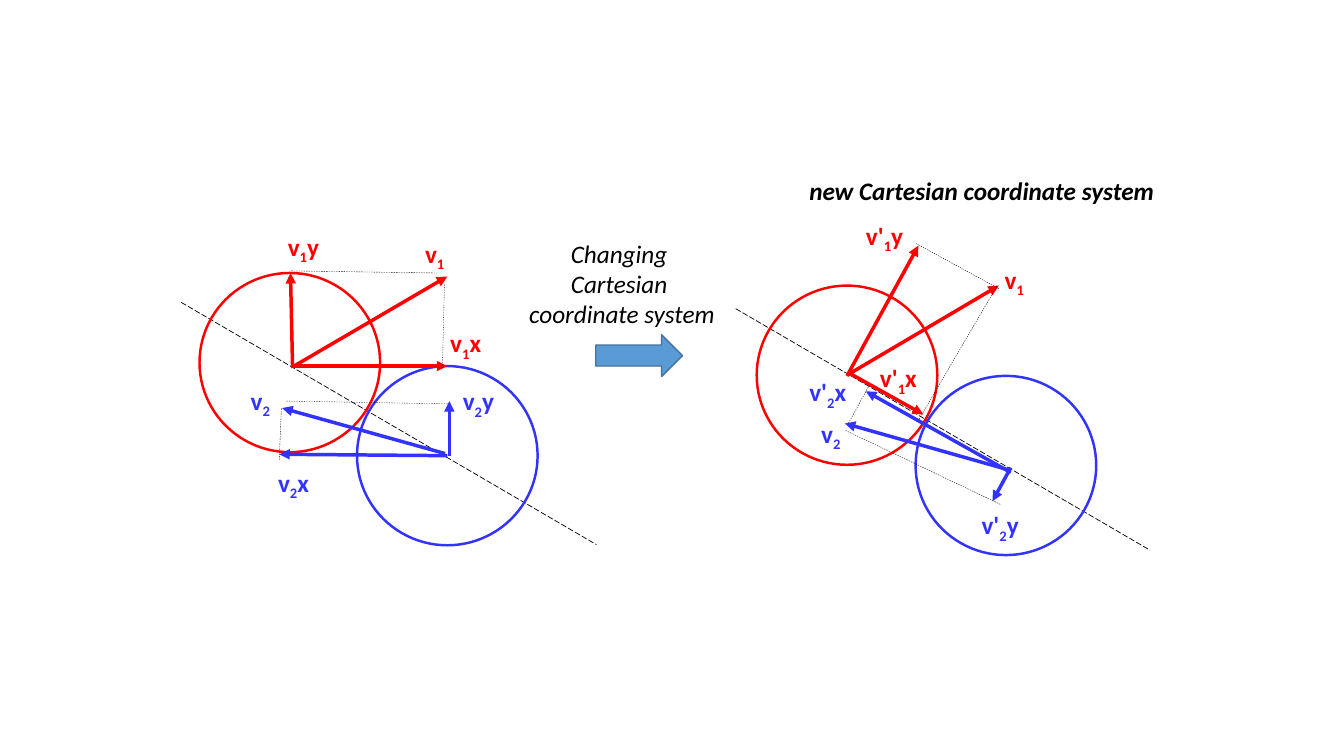
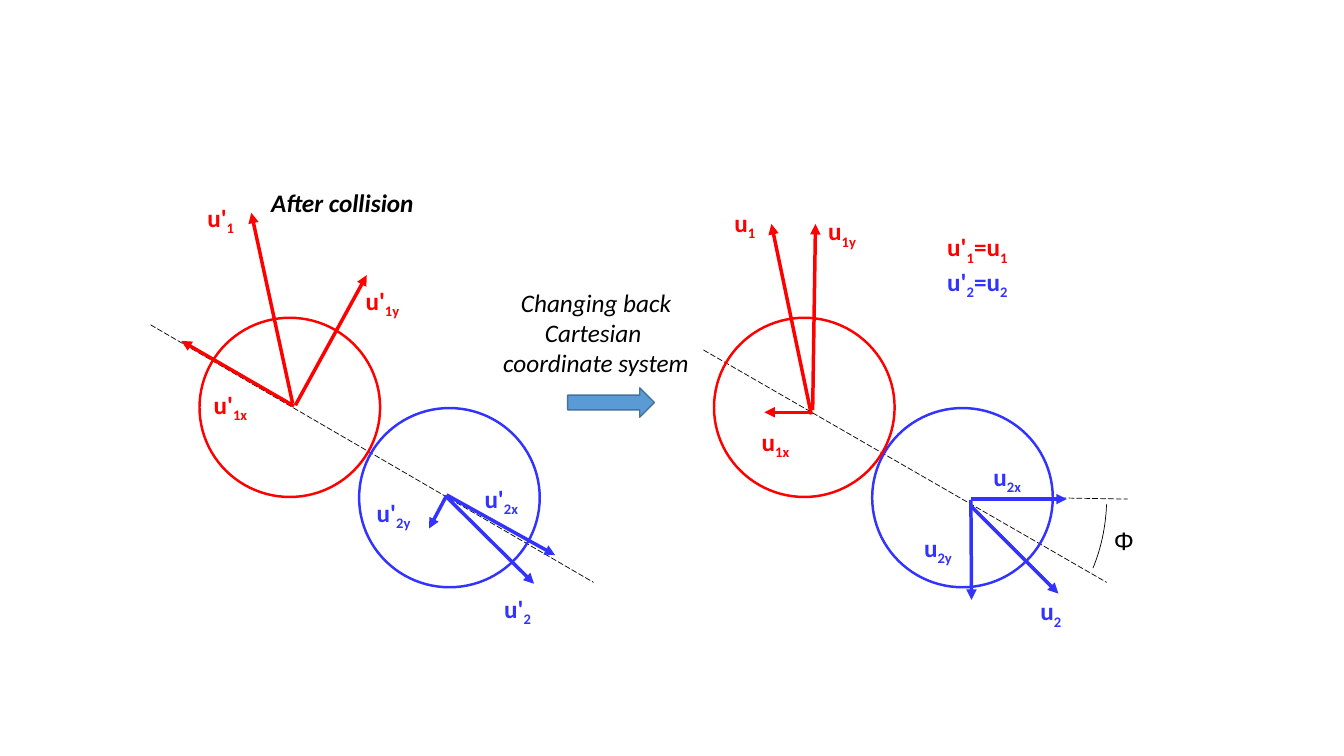
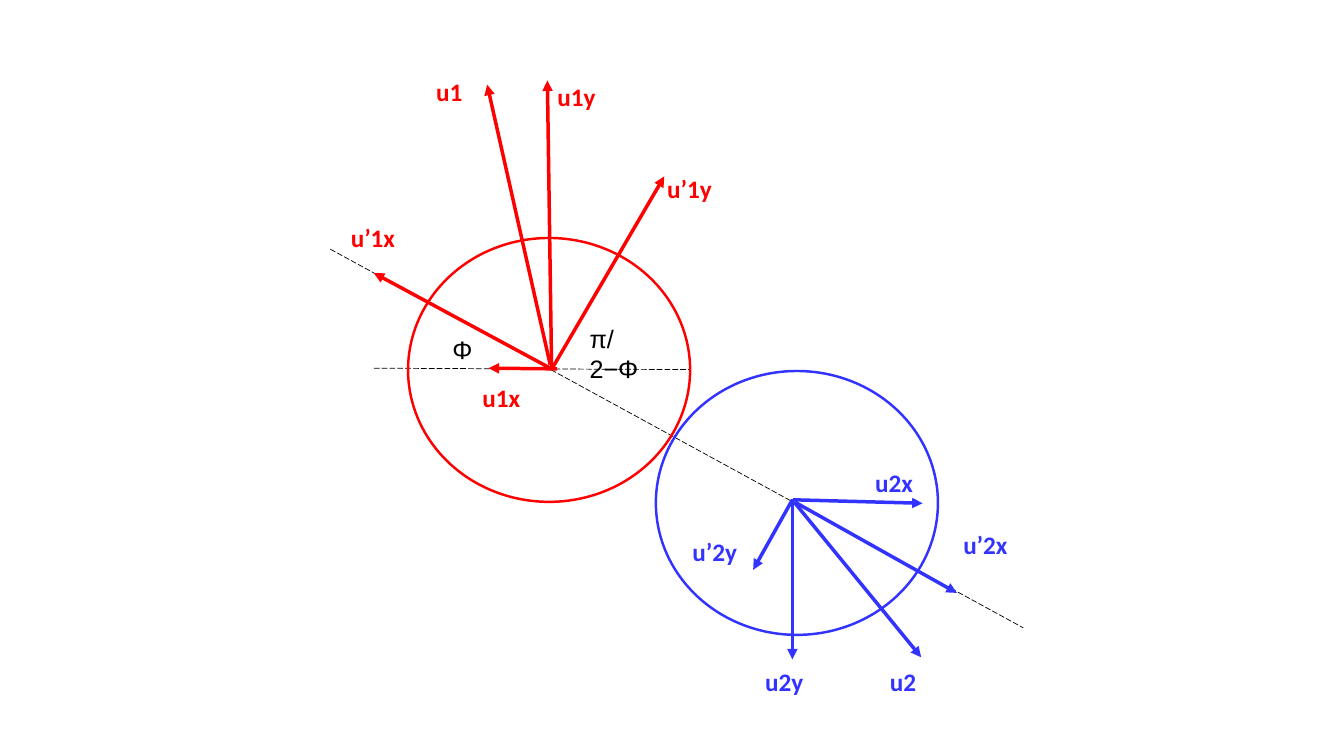
from itertools import cycle

from lxml.etree import SubElement
from pptx import Presentation
from pptx.dml.color import RGBColor
from pptx.enum.dml import MSO_LINE as DASH
from pptx.enum.shapes import MSO_CONNECTOR as CONN, MSO_SHAPE as SHAPE
from pptx.enum.text import MSO_AUTO_SIZE as FIT, PP_ALIGN as ALIGN
from pptx.oxml.ns import qn
from pptx.util import Pt

COLORS = {"red": "FF0000", "blue": "3333FF", "black": "000000",
          "arrow": "5B9BD5", "arrow_edge": "43739E"}


class Diagram:
    """Shared style and the slide being drawn."""
    font, symbol_font, size = "Calibri", "Arial", 18
    vector_width, ball_width, axis_width, guide_width = 2.5, 1.75, 0.5, 0.25

    def __init__(self, prs):
        self.prs = prs
        self.slide = None

    def new_slide(self):
        self.slide = self.prs.slides.add_slide(self.prs.slide_layouts[6])

    def rgb(self, name):
        return RGBColor.from_string(COLORS[name])

    # Lines
    def line(self, x1, y1, x2, y2, color, width, dash=None):
        s = self.slide.shapes.add_connector(
            CONN.STRAIGHT, Pt(x1), Pt(y1), Pt(x2), Pt(y2))
        s.line.color.rgb = self.rgb(color)
        s.line.width = Pt(width)
        if dash:
            s.line.dash_style = dash
        SubElement(s._element.spPr, qn("a:effectLst"))
        return s

    def vectors(self, color, rows):
        for row in rows:
            s = self.line(*row, color, self.vector_width)
            SubElement(s.line._get_or_add_ln(), qn("a:tailEnd"), type="triangle")

    def axes(self, rows):
        for row in rows:
            self.line(*row, "black", self.axis_width, DASH.LONG_DASH)

    def guides(self, rows):
        for row in rows:
            self.line(*row, "black", self.guide_width, DASH.DASH)

    # Shapes
    def shape(self, kind, x, y, w, h, edge, width, fill=None):
        s = self.slide.shapes.add_shape(kind, Pt(x), Pt(y), Pt(w), Pt(h))
        s.shadow.inherit = False
        if fill:
            s.fill.solid()
            s.fill.fore_color.rgb = self.rgb(fill)
        else:
            s.fill.background()
        s.line.color.rgb = self.rgb(edge)
        s.line.width = Pt(width)
        return s

    def balls(self, color, corners, w=129, h=128):
        for x, y in corners:
            self.shape(SHAPE.OVAL, x, y, w, h, color, self.ball_width)

    def block_arrow(self, x, y, h):
        self.shape(SHAPE.RIGHT_ARROW, x, y, 62, h, "arrow_edge", 1, "arrow")

    def angle_arc(self, x, y, w, h, start, end):
        s = self.shape(SHAPE.ARC, x, y, w, h, "black", self.axis_width)
        s.adjustments[0], s.adjustments[1] = start, end

    # Text: one paragraph per line, square brackets mark a subscript
    def text(self, x, y, w, text, *colors, bold=False, italic=False,
             align=None, font=None, wrap=False, h=None):
        lines = text.split("\n")
        h = h or 7.4 + 21.8 * len(lines)
        s = self.slide.shapes.add_textbox(Pt(x), Pt(y), Pt(w), Pt(h))
        tf = s.text_frame
        tf.word_wrap = wrap
        tf.auto_size = FIT.SHAPE_TO_FIT_TEXT
        for i, (content, color) in enumerate(zip(lines, cycle(colors))):
            p = tf.add_paragraph() if i else tf.paragraphs[0]
            p.alignment = align
            for j, part in enumerate(content.replace("]", "[").split("[")):
                if not part:
                    continue
                r = p.add_run()
                r.text = part
                r.font.name = font or self.font
                r.font.size = Pt(self.size)
                r.font.bold, r.font.italic = bold, italic
                r.font.color.rgb = self.rgb(color)
                if j % 2:
                    r.font._element.set("baseline", "-25000")

    def labels(self, color, rows, **style):
        for row in rows:
            self.text(*row, color, bold=True, **style)

    def heading(self, x, y, w, text):
        self.text(x, y, w, text, "black", bold=True, italic=True)

    def caption(self, x, y, text):
        self.text(x, y, 148.5, text, "black", italic=True, align=ALIGN.CENTER)

    def symbol(self, x, y, w, text, **style):
        self.text(x, y, w, text, "black", font=self.symbol_font, **style)


prs = Presentation()
prs.slide_width, prs.slide_height = Pt(960), Pt(540)
d = Diagram(prs)

# Slide 1: velocities before the collision
d.new_slide()
d.axes([(129.5, 216, 426, 389), (525.5, 220.5, 821.5, 393)])
d.balls("red", [(142.5, 195), (540.5, 204)])
d.balls("blue", [(255, 261.5), (654, 268.5)])
d.vectors("red", [
    (210, 261.5, 319.5, 197.5),
    (209, 263, 207.5, 195),
    (210, 261.5, 319.5, 261.5),
    (605, 268, 713.5, 204),
    (605, 268.5, 656, 175.5),
    (607.5, 267, 659.5, 296),
])
d.vectors("blue", [
    (321, 325.5, 321, 286.5),
    (318, 324, 201.5, 291.5),
    (319.5, 325.5, 199.5, 324.5),
    (722, 334, 709, 358),
    (722, 337.5, 618.5, 279.5),
    (720, 335.5, 603.5, 302.5),
])
d.labels("red", [
    (296.5, 166.5, 29.5, "v[1]"),
    (314.5, 230.5, 37.5, "v[1]x"),
    (198.5, 161.5, 38, "v[1]y"),
    (710.5, 185, 29.5, "v[1]"),
    (621.5, 255.5, 42, "v'[1]x"),
    (611.5, 153.5, 42.5, "v'[1]y"),
])
d.labels("blue", [
    (172, 271.5, 29.5, "v[2]"),
    (191.5, 330, 37.5, "v[2]x"),
    (323.5, 272, 38, "v[2]y"),
    (579.5, 295, 29.5, "v[2]"),
    (571, 265.5, 42, "v'[2]x"),
    (694, 360.5, 42.5, "v'[2]y"),
])
d.guides([
    (208, 193.5, 312, 195),
    (316, 263, 317.5, 202.5),
    (204.5, 286.5, 321, 288.5),
    (199.5, 328.5, 201, 291.5),
    (654.5, 174, 714, 206.5),
    (656.5, 299.5, 712, 204.5),
    (606, 302.5, 620.5, 276),
    (604, 307.5, 715, 360.5),
])
d.heading(571, 121.5, 268, "new Cartesian coordinate system ")
d.block_arrow(425.5, 239, 30)
d.caption(370, 166.5, "Changing \nCartesian \ncoordinate system")

# Slide 2: velocities after the collision
d.new_slide()
d.axes([(107.5, 232, 424, 416), (502.5, 250, 790.5, 416),
        (746.5, 355.5, 805.5, 356.5)])
d.balls("blue", [(256.5, 291.5), (623, 291.5)])
d.balls("red", [(142.5, 227), (510, 227)])
d.vectors("red", [
    (209, 288, 179.5, 152),
    (210, 290, 129.5, 243.5),
    (211, 289.5, 262, 196.5),
    (579.5, 296, 551, 160),
    (580.5, 293, 582.5, 160),
    (579.5, 294.5, 546, 294.5),
])
d.vectors("blue", [
    (319.5, 355.5, 381.5, 417),
    (319, 353.5, 396.5, 396.5),
    (319, 354, 306.5, 377.5),
    (693.5, 357, 694, 428.5),
    (693.5, 356.5, 762, 356.5),
    (694, 362, 756, 424),
])
d.labels("red", [
    (141, 141, 34.5, "u'[1]"),
    (145.5, 274.5, 40.5, "u'[1x]"),
    (254, 200, 40.5, "u'[1y]"),
    (517.5, 144.5, 30, "u[1]"),
    (537, 301, 36, "u[1x]"),
    (584.5, 150.5, 36, "u[1y]"),
])
d.labels("blue", [
    (353, 420, 34.5, "u'[2]"),
    (339, 341.5, 40.5, "u'[2x]"),
    (262, 351.5, 40.5, "u'[2y]"),
    (736, 422, 30, "u[2]"),
    (702.5, 326, 36, "u[2x]"),
    (653, 376.5, 36, "u[2y]"),
])
d.text(669.5, 162, 60, "u'[1]=u[1]\nu'[2]=u[2]", "red", "blue", bold=True)
d.angle_arc(607.5, 243.5, 183, 224, 1.78, 18.98)
d.symbol(788.5, 371.5, 28, "Φ")
d.heading(186.5, 130.5, 118, "After collision")
d.block_arrow(405.5, 277, 21)
d.caption(351.5, 201.5, "Changing back\nCartesian \ncoordinate system")

# Slide 3: both coordinate systems together
d.new_slide()
d.axes([(236, 178, 731, 448.5), (267, 263, 492.5, 264)])
d.balls("blue", [(468.5, 265)], 201.5, 188.5)
d.balls("red", [(291.5, 170)], 201.5, 188.5)
d.vectors("red", [
    (393, 260.5, 348, 60.5),
    (394.5, 263, 474.5, 126),
    (394, 263.5, 267, 195),
    (394, 262, 391, 57.5),
    (398, 263.5, 349, 263),
])
d.vectors("blue", [
    (568, 359.5, 658, 469.5),
    (567.5, 358.5, 683.5, 423.5),
    (566, 357, 538, 407),
    (566, 356.5, 566, 471),
    (566.5, 357, 659, 359.5),
])
d.labels("red", [
    (304.5, 51, 33, "u1"),
    (391, 54.5, 42, "u1y"),
    (337.5, 269.5, 42, "u1x"),
])
d.labels("blue", [
    (628.5, 472.5, 33, "u2"),
    (618, 330, 42, "u2x"),
    (539.5, 472.5, 42, "u2y"),
])
d.labels("red", [
    (243.5, 155.5, 72.5, "u’1x"),
    (469.5, 120, 72.5, "u’1y"),
], wrap=True, h=42.5)
d.labels("blue", [
    (681, 374.5, 72.5, "u’2x"),
    (487.5, 379.5, 72.5, "u’2y"),
], wrap=True, h=42.5)
d.symbol(316, 235.5, 28, "Φ")
d.symbol(414, 227.5, 62.5, "π/2−Φ", wrap=True)

prs.save("out.pptx")
